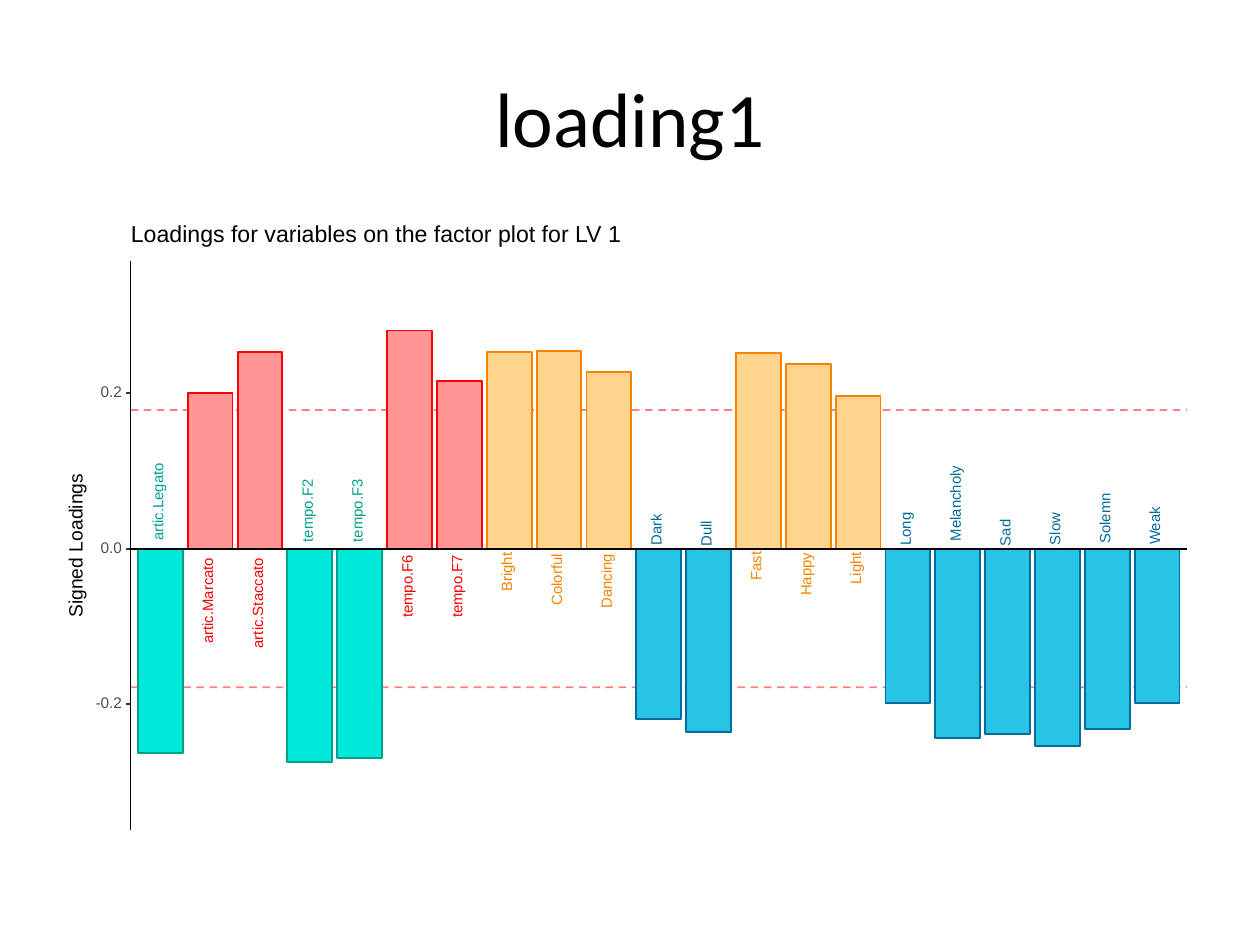
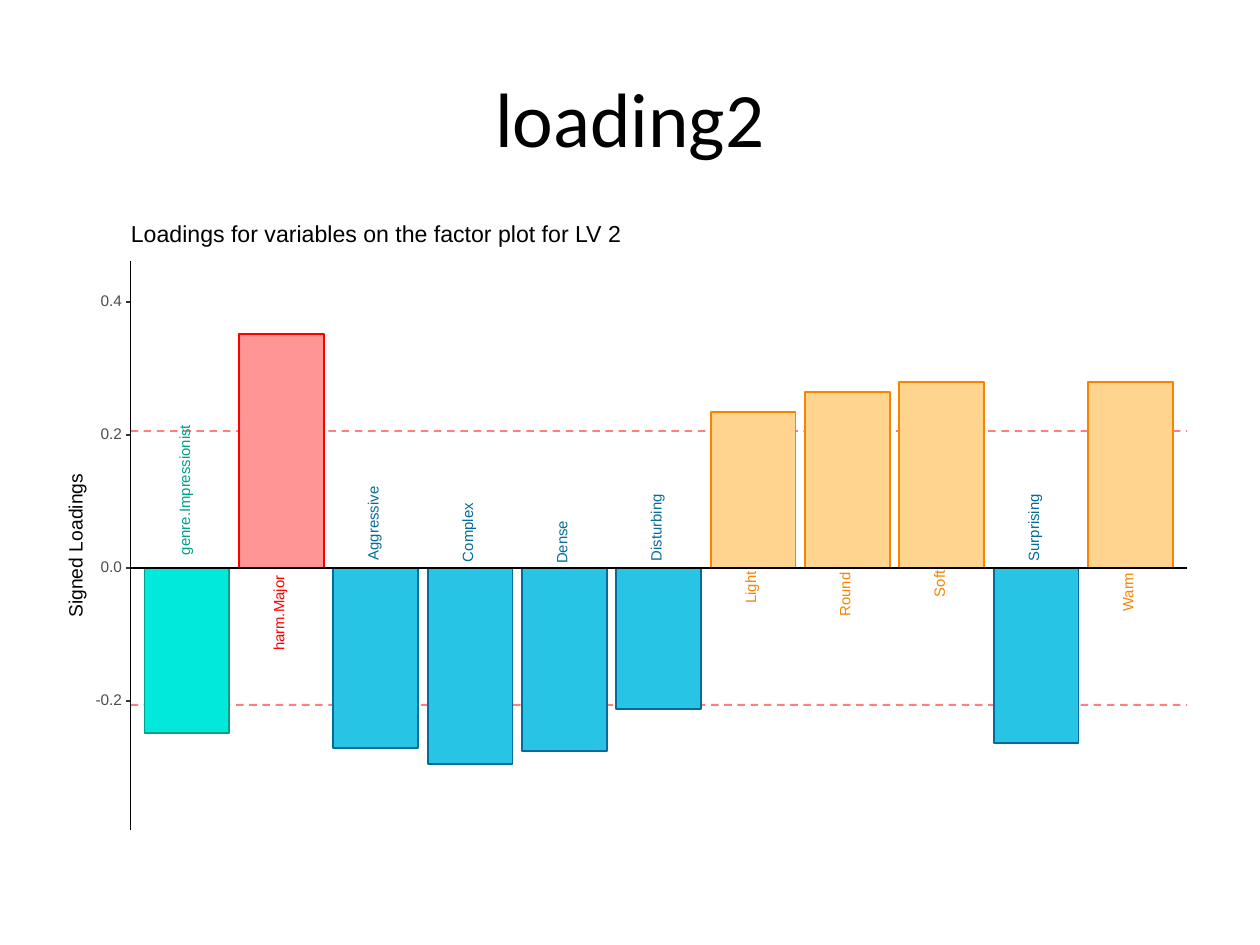
from collections import namedtuple

from lxml.etree import SubElement
from pptx import Presentation
from pptx.dml.color import RGBColor
from pptx.enum.dml import MSO_LINE
from pptx.enum.shapes import MSO_CONNECTOR, MSO_SHAPE
from pptx.enum.text import MSO_ANCHOR, PP_ALIGN
from pptx.oxml.ns import qn
from pptx.util import Cm, Pt

Box = namedtuple("Box", "left top width height")
Loading = namedtuple("Loading", "variable percent label_width")
Factor = namedtuple("Factor", "number zero step ticks threshold loadings")

BLACK, WHITE, TICK_TEXT, TICK_LINE = "000000", "FFFFFF", "4D4D4D", "333333"
THRESHOLD = "FF0000"
DESIGN_COLOURS = {True: ("FF9595", "FF0000"), False: ("00E9DA", "00A08A")}
ADJECTIVE_COLOURS = {True: ("FFD48E", "F98400"), False: ("27C4E5", "046C9A")}
STROKE = 1.07
TICK_PERCENT = 20
LABEL_SLACK = 0.15
LABEL_SHIFT = 0.03

TITLE_BOX = Box(1.27, 0.76, 22.86, 3.18)
PANEL_BOX = Box(1.27, 4.45, 22.86, 12.57)

FACTORS = [
    Factor(1, 5.79, 3.14, (-1, 0, 1), 17.8, [
        Loading("artic.Legato", -26.3, 1.57),
        Loading("artic.Marcato", 20, 1.75),
        Loading("artic.Staccato", 25.3, 1.83),
        Loading("tempo.F2", -27.4, 1.27),
        Loading("tempo.F3", -26.9, 1.27),
        Loading("tempo.F6", 28, 1.27),
        Loading("tempo.F7", 21.5, 1.27),
        Loading("Bright", 25.3, 0.79),
        Loading("Colorful", 25.4, 1.04),
        Loading("Dancing", 22.7, 1.09),
        Loading("Dark", -21.9, 0.64),
        Loading("Dull", -23.5, 0.51),
        Loading("Fast", 25.1, 0.58),
        Loading("Happy", 23.7, 0.86),
        Loading("Light", 19.6, 0.66),
        Loading("Long", -19.8, 0.66),
        Loading("Melancholy", -24.3, 1.52),
        Loading("Sad", -23.8, 0.53),
        Loading("Slow", -25.3, 0.66),
        Loading("Solemn", -23.2, 1.02),
        Loading("Weak", -19.8, 0.76),
    ]),
    Factor(2, 6.18, 2.68, (-1, 0, 1, 2), 20.6, [
        Loading("genre.Impressionist", -24.8, 2.62),
        Loading("harm.Major", 35.2, 1.52),
        Loading("Aggressive", -27.1, 1.5),
        Loading("Complex", -29.5, 1.19),
        Loading("Dense", -27.6, 0.86),
        Loading("Disturbing", -21.2, 1.35),
        Loading("Light", 23.5, 0.66),
        Loading("Round", 26.5, 0.89),
        Loading("Soft", 28, 0.53),
        Loading("Surprising", -26.3, 1.35),
        Loading("Warm", 28, 0.81),
    ]),
]


def colour(hex_string):
    """Turn a hex string into a colour."""
    return RGBColor.from_string(hex_string)


def add_rect(shapes, box, fill, outline):
    """Draw a filled and outlined rectangle."""
    rect = shapes.add_shape(MSO_SHAPE.RECTANGLE, *(Cm(length) for length in box))
    rect.shadow.inherit = False
    rect.fill.solid()
    rect.fill.fore_color.rgb = colour(fill)
    rect.line.color.rgb = colour(outline)
    rect.line.width = Pt(STROKE)


def add_line(shapes, start, end, stroke, dashed=False):
    """Draw a straight line; a dashed one is half transparent."""
    line = shapes.add_connector(MSO_CONNECTOR.STRAIGHT, *(Cm(v) for v in start + end))
    line.line.color.rgb = colour(stroke)
    line.line.width = Pt(STROKE)
    properties = line._element.spPr
    if dashed:
        line.line.dash_style = MSO_LINE.DASH
        SubElement(next(properties.iter(qn("a:srgbClr"))), qn("a:alpha"), val="50000")
    SubElement(properties, qn("a:effectLst"))


def write(frame, text, size, font, ink, align):
    """Write one run, centred vertically in its frame."""
    frame.vertical_anchor = MSO_ANCHOR.MIDDLE
    paragraph = frame.paragraphs[0]
    paragraph.alignment = align
    run = paragraph.add_run()
    run.text = text
    run.font.size = Pt(size)
    run.font.name = font
    run.font.color.rgb = colour(ink)
    return paragraph


def add_label(shapes, text, centre, text_width, size, ink, upright=False):
    """Centre a one-line label on a point, with slack so that it never wraps."""
    width, height = text_width + LABEL_SLACK, size * 0.03
    label = shapes.add_textbox(Cm(centre[0] - width / 2), Cm(centre[1] - height / 2),
                               Cm(width), Cm(height))
    label.rotation = 270 if upright else 0
    frame = label.text_frame
    frame.word_wrap = False
    frame.margin_left = frame.margin_right = frame.margin_top = frame.margin_bottom = 0
    write(frame, text, size, "Arial", ink, PP_ALIGN.CENTER).line_spacing = Pt(size)


def add_title(slide, box, text):
    """Write the slide title."""
    frame = slide.shapes.add_textbox(*(Cm(length) for length in box)).text_frame
    frame.word_wrap = True
    write(frame, text, 44, "Calibri", BLACK, PP_ALIGN.CENTER)


def add_bars(shapes, plot, factor):
    """Draw the bars, each named across the zero line from it."""
    zero = plot.top + factor.zero
    slot = plot.width / (len(factor.loadings) + 0.2)
    labels = []
    for index, loading in enumerate(factor.loadings):
        positive = loading.percent > 0
        colours = DESIGN_COLOURS if "." in loading.variable else ADJECTIVE_COLOURS
        fill, ink = colours[positive]
        height = abs(loading.percent) / TICK_PERCENT * factor.step
        centre = plot.left + (index + 0.6) * slot
        top = zero - height if positive else zero
        add_rect(shapes, Box(centre - 0.45 * slot, top, 0.9 * slot, height), fill, ink)
        offset = loading.label_width * (0.6 if positive else -0.6)
        labels.append((loading.variable, (centre - LABEL_SHIFT, zero + offset),
                       loading.label_width, ink))
    for variable, centre, width, ink in labels:
        add_label(shapes, variable, centre, width, 8.5, ink, upright=True)


def add_axes(shapes, plot, factor):
    """Draw the zero line, the loading axis and its ticks."""
    zero = plot.top + factor.zero
    add_line(shapes, (plot.left, zero), (plot.left + plot.width, zero), BLACK)
    add_line(shapes, (plot.left, plot.top + plot.height), (plot.left, plot.top), BLACK)
    for tick in factor.ticks:
        level = zero - tick * factor.step
        text_width = 0.53 if tick < 0 else 0.43
        add_label(shapes, f"{tick * TICK_PERCENT / 100:.1f}",
                  (plot.left - 0.17 - text_width / 2, level), text_width, 8.8, TICK_TEXT)
        add_line(shapes, (plot.left - 0.09, level), (plot.left, level), TICK_LINE)
    add_label(shapes, "Signed Loadings", (plot.left - 1.08, plot.top + plot.height / 2),
              2.9, 11, BLACK, upright=True)


def add_loading_plot(slide, box, factor):
    """Draw the loading plot of one factor as a group."""
    shapes = slide.shapes.add_group_shape().shapes
    plot = Box(box.left + 1.36, box.top + 0.82, box.width - 1.56, box.height - 1.11)
    add_rect(shapes, box, WHITE, WHITE)
    zero = plot.top + factor.zero
    for sign in (-1, 1):
        level = zero + sign * factor.threshold / TICK_PERCENT * factor.step
        add_line(shapes, (plot.left, level), (plot.left + plot.width, level),
                 THRESHOLD, dashed=True)
    add_bars(shapes, plot, factor)
    add_axes(shapes, plot, factor)
    heading_width = 9.9
    add_label(shapes, f"Loadings for variables on the factor plot for LV {factor.number}",
              (plot.left + heading_width / 2, plot.top - 0.53), heading_width, 13.2, BLACK)


def build_deck():
    """Build one slide for each factor."""
    deck = Presentation()
    deck.slide_width, deck.slide_height = Cm(25.4), Cm(19.05)
    for factor in FACTORS:
        slide = deck.slides.add_slide(deck.slide_layouts[6])
        add_title(slide, TITLE_BOX, f"loading{factor.number}")
        add_loading_plot(slide, PANEL_BOX, factor)
    deck.save("out.pptx")


build_deck()
